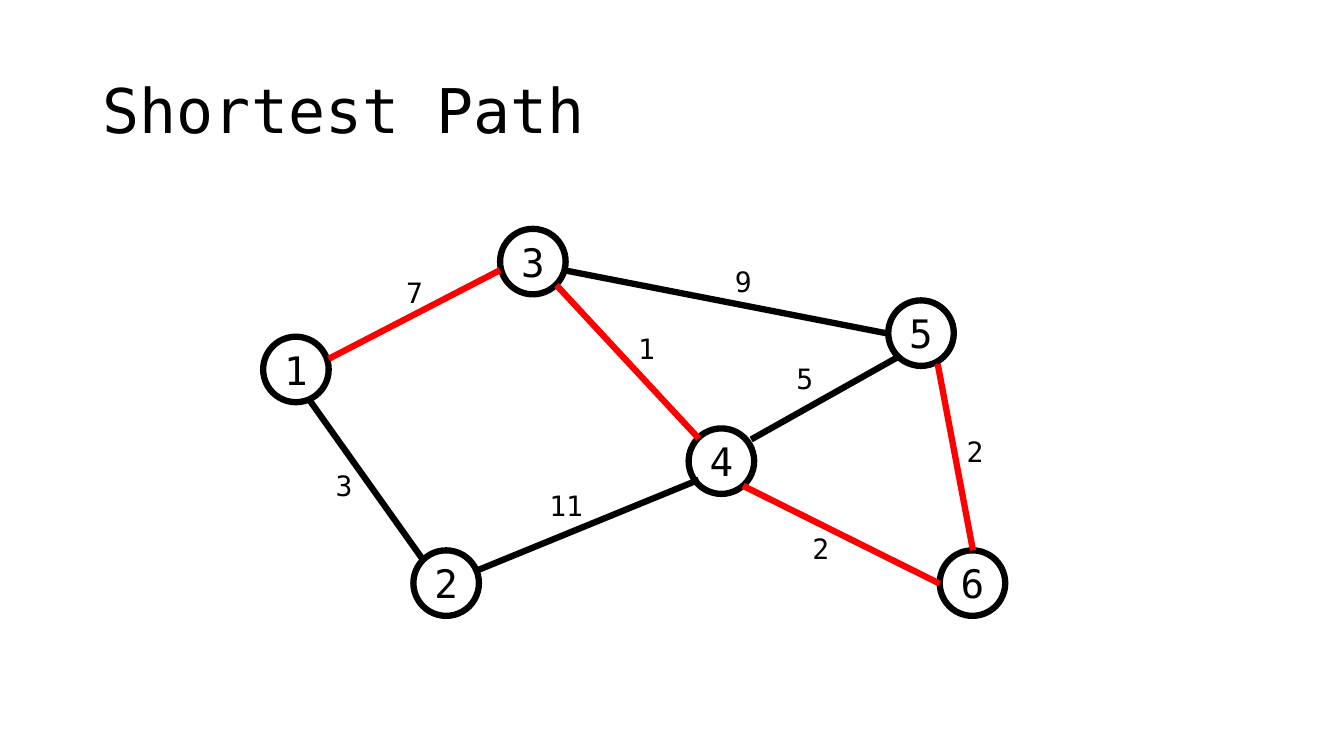
from dataclasses import dataclass
from typing import NamedTuple

import lxml.etree
import pptx
import pptx.dml.color
import pptx.enum.shapes
import pptx.enum.text
import pptx.oxml.ns
import pptx.shapes.autoshape
import pptx.slide
import pptx.util
from pptx.util import Inches


@dataclass(frozen=True)
class Theme:
    font: str = "DejaVu Sans Mono"
    ink: str = "000000"
    paper: str = "FFFFFF"
    route: str = "FF0000"
    title_size: float = 44
    node_size: float = 28
    weight_size: float = 20
    stroke: float = 4.5


class Point(NamedTuple):
    x: float
    y: float


class Node(NamedTuple):
    label: str
    corner: Point


class Edge(NamedTuple):
    start: Point
    end: Point
    weight: str
    weight_corner: Point
    on_route: bool = False


THEME = Theme()
NODE_DIAMETER = 0.65
WEIGHT_WIDTH = 0.36
WIDE_WEIGHT_WIDTH = 0.6
WEIGHT_HEIGHT = 0.44

NODES = [
    Node("1", Point(2.61, 3.34)),
    Node("3", Point(4.96, 2.27)),
    Node("2", Point(4.1, 5.46)),
    Node("4", Point(6.83, 4.25)),
    Node("5", Point(8.81, 2.98)),
    Node("6", Point(9.32, 5.46)),
]

EDGES = [
    Edge(Point(5.52, 2.83), Point(6.93, 4.35), "1", Point(6.23, 3.24), on_route=True),
    Edge(Point(3.26, 3.56), Point(4.96, 2.68), "7", Point(3.93, 2.68), on_route=True),
    Edge(Point(3.07, 3.97), Point(4.2, 5.56), "3", Point(3.23, 4.6)),
    Edge(Point(4.73, 5.66), Point(6.93, 4.76), "11", Point(5.35, 4.8)),
    Edge(Point(7.45, 4.36), Point(8.91, 3.54), "5", Point(7.8, 3.54)),
    Edge(Point(7.37, 4.82), Point(9.32, 5.79), "2", Point(7.96, 5.22), on_route=True),
    Edge(Point(9.3, 3.61), Point(9.65, 5.46), "2", Point(9.49, 4.26), on_route=True),
    Edge(Point(5.59, 2.68), Point(8.81, 3.31), "9", Point(7.19, 2.57)),
]


def rgb(code: str) -> pptx.dml.color.RGBColor:
    return pptx.dml.color.RGBColor.from_string(code)


def write_text(
    shape: pptx.shapes.autoshape.Shape,
    text: str,
    *,
    size: float,
    align: pptx.enum.text.PP_ALIGN = pptx.enum.text.PP_ALIGN.LEFT,
    anchor: pptx.enum.text.MSO_ANCHOR = pptx.enum.text.MSO_ANCHOR.TOP,
    line_spacing: float = 1.0,
) -> None:
    frame = shape.text_frame
    frame.word_wrap = True
    frame.vertical_anchor = anchor
    paragraph = frame.paragraphs[0]
    paragraph.alignment = align
    paragraph.line_spacing = line_spacing
    run = paragraph.add_run()
    run.text = text
    run.font.name = THEME.font
    run.font.size = pptx.util.Pt(size)
    run.font.color.rgb = rgb(THEME.ink)


def draw_title(slide: pptx.slide.Slide, text: str) -> None:
    title = slide.shapes.add_textbox(Inches(0.92), Inches(0.4), Inches(11.5), Inches(1.45))
    write_text(title, text, size=THEME.title_size,
               anchor=pptx.enum.text.MSO_ANCHOR.MIDDLE, line_spacing=0.9)


def draw_node(slide: pptx.slide.Slide, node: Node) -> None:
    circle = slide.shapes.add_shape(
        pptx.enum.shapes.MSO_SHAPE.OVAL, Inches(node.corner.x), Inches(node.corner.y),
        Inches(NODE_DIAMETER), Inches(NODE_DIAMETER))
    circle.shadow.inherit = False
    circle.fill.solid()
    circle.fill.fore_color.rgb = rgb(THEME.paper)
    circle.line.color.rgb = rgb(THEME.ink)
    circle.line.width = pptx.util.Pt(THEME.stroke)
    write_text(circle, node.label, size=THEME.node_size,
               align=pptx.enum.text.PP_ALIGN.CENTER,
               anchor=pptx.enum.text.MSO_ANCHOR.MIDDLE)


def draw_edge(slide: pptx.slide.Slide, edge: Edge) -> None:
    link = slide.shapes.add_connector(
        pptx.enum.shapes.MSO_CONNECTOR.STRAIGHT,
        Inches(edge.start.x), Inches(edge.start.y), Inches(edge.end.x), Inches(edge.end.y))
    link.line.color.rgb = rgb(THEME.route if edge.on_route else THEME.ink)
    link.line.width = pptx.util.Pt(THEME.stroke)
    lxml.etree.SubElement(link._element.spPr, pptx.oxml.ns.qn("a:effectLst"))


def draw_weight(slide: pptx.slide.Slide, edge: Edge) -> None:
    width = WIDE_WEIGHT_WIDTH if len(edge.weight) > 1 else WEIGHT_WIDTH
    weight = slide.shapes.add_textbox(
        Inches(edge.weight_corner.x), Inches(edge.weight_corner.y),
        Inches(width), Inches(WEIGHT_HEIGHT))
    write_text(weight, edge.weight, size=THEME.weight_size)


def main() -> None:
    deck = pptx.Presentation()
    deck.slide_width, deck.slide_height = Inches(13.33), Inches(7.5)
    slide = deck.slides.add_slide(deck.slide_layouts[6])
    draw_title(slide, "Shortest Path")
    for node in NODES:
        draw_node(slide, node)
    for edge in EDGES:
        draw_edge(slide, edge)
    for edge in EDGES:
        draw_weight(slide, edge)
    deck.save("out.pptx")


if __name__ == "__main__":
    main()
